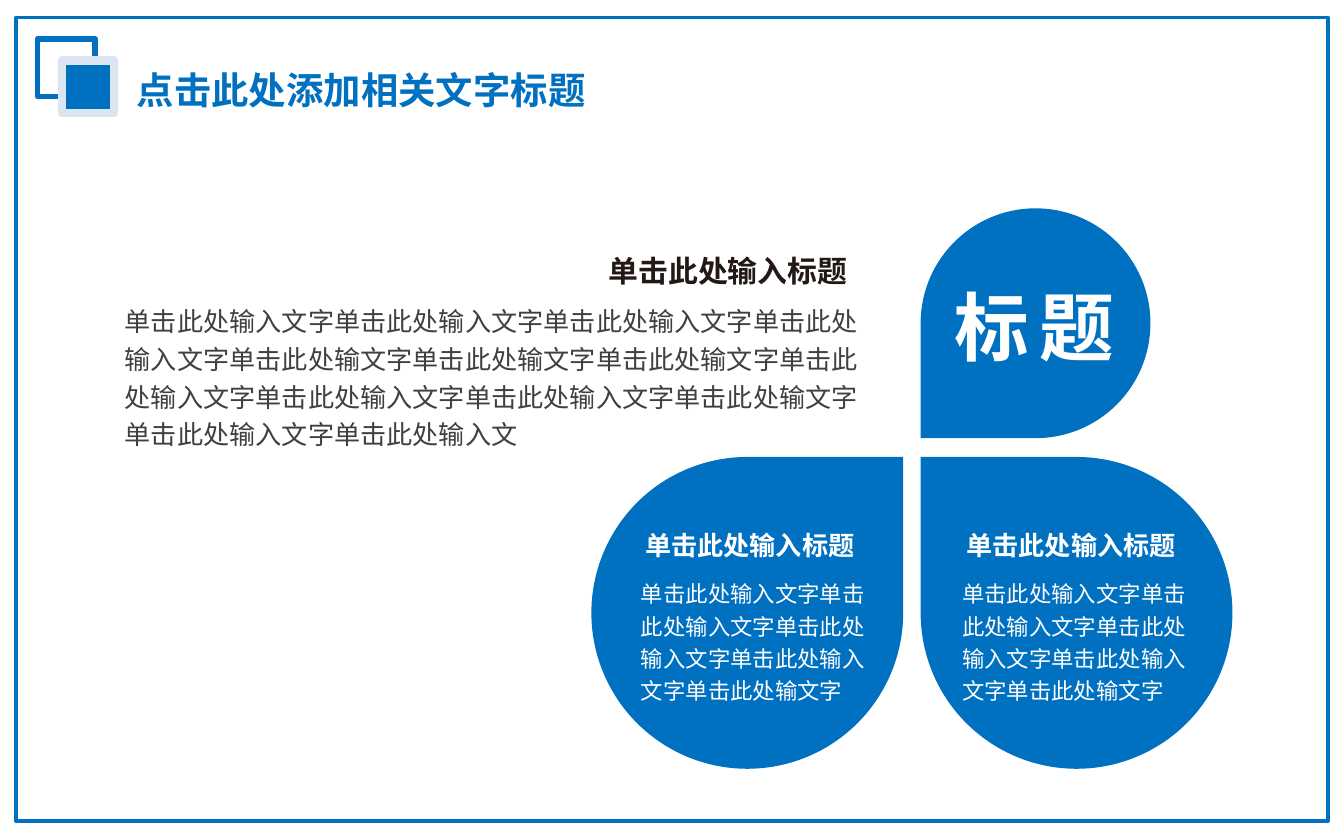
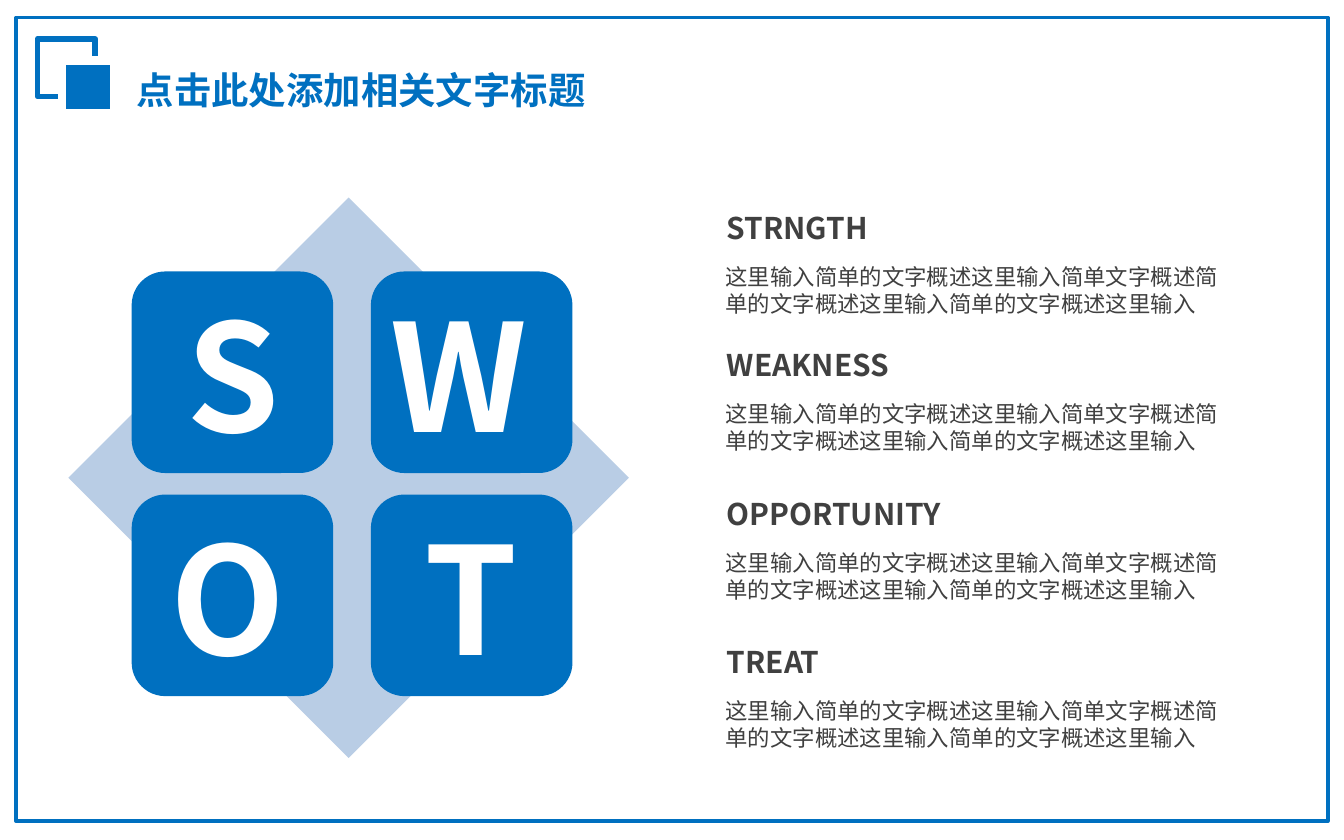
from dataclasses import dataclass

from lxml.etree import SubElement
from pptx import Presentation
from pptx.dml.color import RGBColor
from pptx.enum.shapes import MSO_SHAPE as Preset
from pptx.enum.text import MSO_ANCHOR as Anchor, MSO_AUTO_SIZE as AutoSize
from pptx.oxml.ns import qn
from pptx.util import Inches, Pt

SLIDE_WIDTH, SLIDE_HEIGHT = Inches(10), Inches(6.25)
COLUMNS, ROWS = 100, 62.5


@dataclass(frozen=True)
class Theme:
    """Colours, fonts and type sizes of the deck."""
    blue: str = "0070C0"
    pale_blue: str = "B9CDE5"
    halo: str = "DCE6F2"
    white: str = "FFFFFF"
    grey: str = "404040"
    ink: str = "231815"
    font: str = "Noto Sans CJK SC"
    latin_font: str = "Calibri"
    title: int = 20
    heading: int = 16
    body: int = 14
    small: int = 12
    badge: int = 40
    letter: int = 80


@dataclass(frozen=True)
class Box:
    """A region in grid columns and rows."""
    left: float
    top: float
    width: float
    height: float

    def inner(self, column, row, width, height):
        """Return a region placed relative to this one."""
        return Box(self.left + column, self.top + row, width, height)

    def lengths(self):
        """Return left, top, width and height as slide lengths."""
        column, row = SLIDE_WIDTH / COLUMNS, SLIDE_HEIGHT / ROWS
        return (round(self.left * column), round(self.top * row),
                round(self.width * column), round(self.height * row))


THEME = Theme()
PAGE = Box(0, 0, COLUMNS, ROWS)
PAGE_TITLE = "点击此处添加相关文字标题"
PETAL_HEADING = "单击此处输入标题"
PETAL_BODY = "单击此处输入文字" * 4 + "单击此处输文字"
INTRO_BODY = ("单击此处输入文字" * 4 + "单击此处输文字" * 3 + "单击此处输入文字" * 3
              + "单击此处输文字" + "单击此处输入文字" + "单击此处输入文")
SWOT_BODY = "这里输入简单的文字概述这里输入简单文字概述简单的文字概述这里输入简单的文字概述这里输入"


def draw(slide, preset, box, fill=None, line=None, line_width=0, rotation=0):
    """Add a preset shape without shadow."""
    figure = slide.shapes.add_shape(preset, *box.lengths())
    figure.shadow.inherit = False
    figure.rotation = rotation
    if fill:
        figure.fill.solid()
        figure.fill.fore_color.rgb = RGBColor.from_string(fill)
    else:
        figure.fill.background()
    if line:
        figure.line.color.rgb = RGBColor.from_string(line)
        figure.line.width = Pt(line_width)
    else:
        figure.line.fill.background()


def write(slide, box, words, size, color, bold=False, font=THEME.font,
          wrap=True, flush=False, leading=None, tracking=0):
    """Add one paragraph; flush text has no insets and is centred in height."""
    frame = slide.shapes.add_textbox(*box.lengths()).text_frame
    frame.word_wrap = wrap
    if flush:
        frame.vertical_anchor = Anchor.MIDDLE
        frame.margin_left = frame.margin_right = 0
        frame.margin_top = frame.margin_bottom = 0
    else:
        frame.auto_size = AutoSize.SHAPE_TO_FIT_TEXT
    paragraph = frame.paragraphs[0]
    if leading:
        paragraph.line_spacing = leading
    run = paragraph.add_run()
    run.text = words
    run.font.size = Pt(size)
    run.font.bold = bold
    run.font.color.rgb = RGBColor.from_string(color)
    run.font.name = font
    properties = run._r.get_or_add_rPr()
    properties.set("lang", "zh-CN")
    if tracking:
        properties.set("spc", str(tracking * 100))
    SubElement(properties, qn("a:ea"), typeface=font)


def page_frame(slide, box, halo):
    """Draw the border, the double-square mark and the page title."""
    draw(slide, Preset.RECTANGLE, box.inner(1.2, 1.3, 97.6, 59.8),
         THEME.white, THEME.blue, 2)
    draw(slide, Preset.RECTANGLE, box.inner(2.8, 2.9, 4.3, 4.3), None, THEME.blue, 3)
    draw(slide, Preset.RECTANGLE, box.inner(4.6, 4.5, 3.9, 3.9), THEME.blue, halo, 4.5)
    write(slide, box.inner(9.2, 4.5, 35.7, 4.4), PAGE_TITLE, THEME.title,
          THEME.blue, bold=True, wrap=False)


def introduction(slide, box):
    """Write the heading and the long paragraph under it."""
    write(slide, box.inner(0, 3.9, box.width, 12.3), INTRO_BODY, THEME.body,
          THEME.grey, leading=1.2)
    write(slide, box.inner(37, 0, 19.2, 3.9), PETAL_HEADING, THEME.heading,
          THEME.ink, bold=True, flush=True, leading=1.2)


def title_petal(slide, box):
    """Draw the small petal that holds the large word."""
    draw(slide, Preset.TEAR, box, THEME.blue, rotation=180)
    write(slide, box.inner(1.5, 4.9, 14.9, 7.7), "标题", THEME.badge, THEME.white,
          bold=True, wrap=False, tracking=6)


def text_petal(slide, box, rotation, indent):
    """Draw a large petal with its heading and paragraph."""
    draw(slide, Preset.TEAR, box, THEME.blue, rotation=rotation)
    write(slide, box.inner(indent, 8.3, 19.1, 10.7), PETAL_BODY, THEME.small,
          THEME.white, leading=1.2)
    write(slide, box.inner(indent + 1.3, 4.4, 16.4, 3.9), PETAL_HEADING, THEME.body,
          THEME.white, bold=True, flush=True, leading=1.2)


def swot_matrix(slide, box):
    """Draw the diamond and the two-by-two tiles with their letters."""
    draw(slide, Preset.DIAMOND, box, THEME.pale_blue)
    side, column_step, row_step = 15, 17.8, 16.6
    letter_widths = {"S": 8.8, "W": 14.1, "O": 11.2, "T": 9}
    for index, (letter, width) in enumerate(letter_widths.items()):
        row, column = divmod(index, 2)
        tile = box.inner(4.7 + column * column_step, 5.5 + row * row_step, side, side)
        draw(slide, Preset.ROUNDED_RECTANGLE, tile, THEME.blue)
        write(slide, tile.inner((side - width) / 2, 0.4, width, 14.5), letter,
              THEME.letter, THEME.white, bold=True, wrap=False)


def swot_notes(slide, box):
    """List the four headings, each with its summary."""
    note_rows = {"STRNGTH": 0, "WEAKNESS": 10.2, "OPPORTUNITY": 21.3, "TREAT": 32.3}
    for heading, row in note_rows.items():
        write(slide, box.inner(0, row + 4, box.width, 5), SWOT_BODY, THEME.small,
              THEME.grey, font=THEME.latin_font)
        write(slide, box.inner(0.1, row, 22.1, 3.7), heading, THEME.heading,
              THEME.grey, bold=True)


def petal_slide(slide):
    """Compose the slide of three petals."""
    page_frame(slide, PAGE, THEME.halo)
    title_petal(slide, PAGE.inner(68.5, 15.5, 17.1, 17.1))
    text_petal(slide, PAGE.inner(68.5, 34, 23.2, 23.2), 270, 2.1)
    text_petal(slide, PAGE.inner(44, 34, 23.2, 23.2), 0, 2.7)
    introduction(slide, PAGE.inner(8.3, 17.9, 57.5, 16.2))


def swot_slide(slide):
    """Compose the slide of strengths, weaknesses, opportunities and threats."""
    page_frame(slide, PAGE, THEME.white)
    swot_matrix(slide, PAGE.inner(5.1, 14.7, 41.7, 41.7))
    swot_notes(slide, PAGE.inner(53, 15.1, 38.8, 41.3))


def main():
    """Build and save the deck."""
    deck = Presentation()
    deck.slide_width, deck.slide_height = SLIDE_WIDTH, SLIDE_HEIGHT
    blank = deck.slide_layouts[6]
    for compose in (petal_slide, swot_slide):
        compose(deck.slides.add_slide(blank))
    deck.save("out.pptx")


if __name__ == "__main__":
    main()
